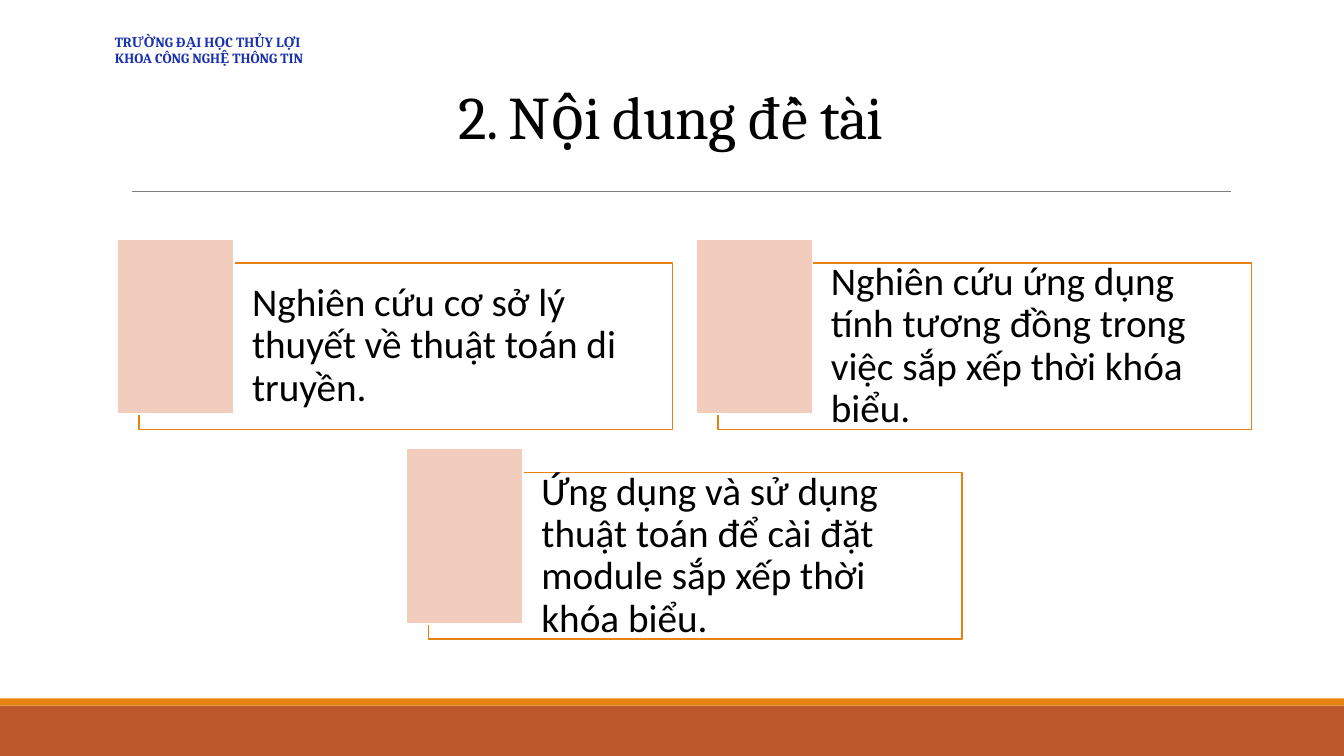
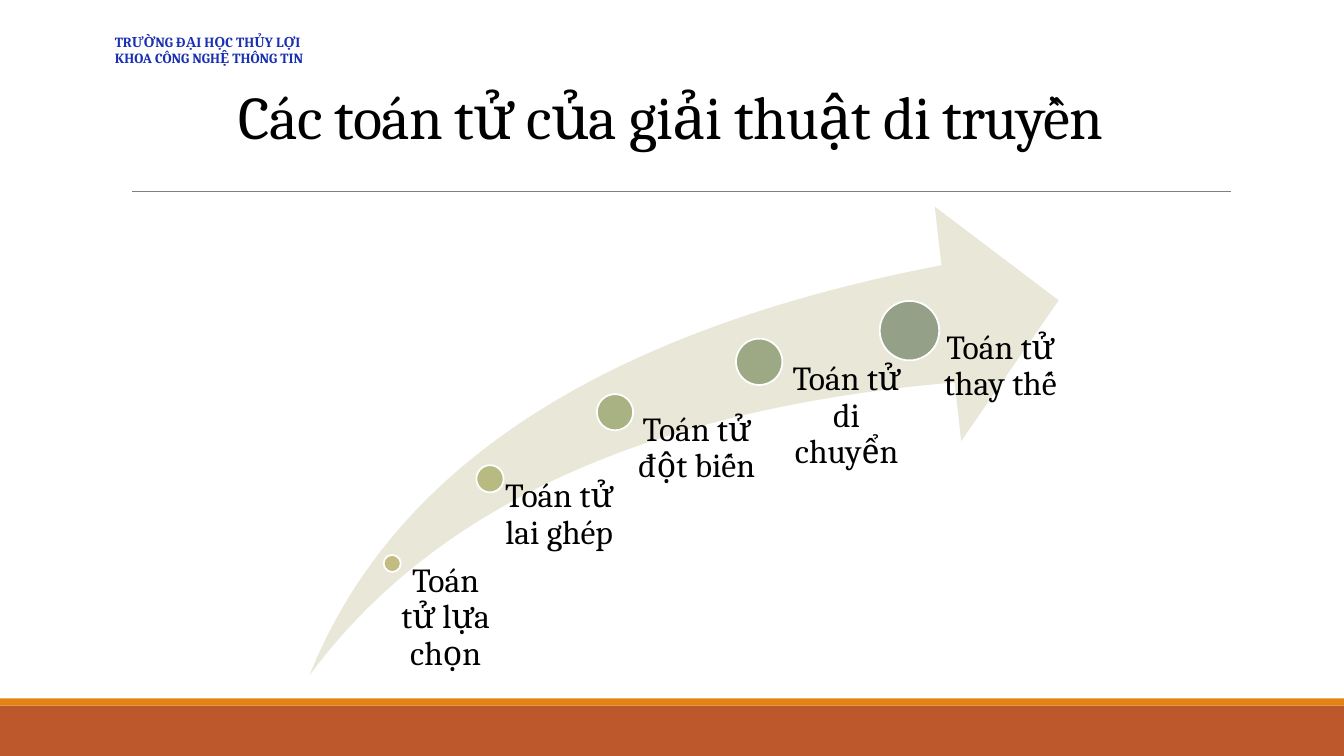
from lxml import etree
from pptx import Presentation
from pptx import util as u
from pptx.dml.color import RGBColor
from pptx.enum import shapes, text
from pptx.oxml.ns import qn

WIDTH, HEIGHT = 13.33, 7.5
TITLE_ONLY = 5
HEADING_FONT, BODY_FONT = "Cambria", "Calibri"
COLORS = {
    "band": "BD582C", "stripe": "E48312", "rule": "808080", "school": "1930B0",
    "text": "000000", "white": "FFFFFF", "accent": "F2CDBD", "arrow": "E9E7D8",
}
SCHOOL = ["TRƯỜNG ĐẠI HỌC THỦY LỢI", "KHOA CÔNG NGHỆ THÔNG TIN"]

# Cards: column and row of each one; half columns centre the last row
CARD_LEFT, CARD_TOP = 1.16, 2.37
CARD_COLUMN, CARD_ROW = 5.74, 2.08
CARDS = [
    (0, 0, "Nghiên cứu cơ sở lý thuyết về thuật toán di truyền."),
    (1, 0, "Nghiên cứu ứng dụng tính tương đồng trong việc sắp xếp thời khóa biểu."),
    (0.5, 1, "Ứng dụng và sử dụng thuật toán để cài đặt module sắp xếp thời khóa biểu."),
]

# Steps: bubble centre, bubble diameter, label width, colour, label
ARROW = (3.07, 2.05, 7.43, 4.65)
STEPS = [
    (3.89, 5.59, 0.17, 0.97, "C2BC80", "Toán tử lựa chọn"),
    (4.86, 4.75, 0.27, 1.23, "B7BA81", "Toán tử lai ghép"),
    (6.10, 4.09, 0.36, 1.43, "A8B283", "Toán tử đột biến"),
    (7.53, 3.59, 0.46, 1.49, "9DA985", "Toán tử di chuyển"),
    (9.02, 3.28, 0.59, 1.49, "94A088", "Toán tử thay thế"),
]


def inches(*lengths):
    return [u.Inches(length) for length in lengths]


def rgb(color):
    return RGBColor.from_string(color)


def add_shape(slide, kind, box, fill, line=None, line_width=1.25):
    shape = slide.shapes.add_shape(kind, *inches(*box))
    shape.shadow.inherit = False
    shape.fill.solid()
    shape.fill.fore_color.rgb = rgb(fill)
    if line:
        shape.line.color.rgb = rgb(line)
        shape.line.width = u.Pt(line_width)
    else:
        shape.line.fill.background()
    return shape


def add_rule(slide, left, right, top):
    rule = slide.shapes.add_connector(
        shapes.MSO_CONNECTOR.STRAIGHT, *inches(left, top, right, top))
    rule.line.color.rgb = rgb(COLORS["rule"])
    rule.line.width = u.Pt(0.5)
    etree.SubElement(rule.element.spPr, qn("a:effectLst"))
    return rule


def write(shape, lines, size, font=HEADING_FONT, color=COLORS["text"], bold=False,
          align=text.PP_ALIGN.LEFT, anchor=text.MSO_ANCHOR.TOP, spacing=1.0,
          insets=(0.1, 0.05, 0.1, 0.05)):
    frame = shape.text_frame
    frame.word_wrap = True
    frame.auto_size = text.MSO_AUTO_SIZE.NONE
    frame.vertical_anchor = anchor
    (frame.margin_left, frame.margin_top,
     frame.margin_right, frame.margin_bottom) = inches(*insets)
    frame.text = "\n".join(lines)
    for paragraph in frame.paragraphs:
        paragraph.alignment = align
        paragraph.line_spacing = spacing
        paragraph.font.name = font
        paragraph.font.size = u.Pt(size)
        paragraph.font.bold = bold
        paragraph.font.color.rgb = rgb(color)


def move_to_layout(layout, parts):
    """Let every slide of the layout show these parts."""
    for number, part in enumerate(parts, 101):
        part.element.xpath(".//p:cNvPr")[0].set("id", str(number))
        layout.shapes.element.append(part.element)


def add_decoration(slide):
    rectangle = shapes.MSO_SHAPE.RECTANGLE
    move_to_layout(slide.slide_layout, [
        add_shape(slide, rectangle, (0, 7, WIDTH, 0.5), COLORS["band"]),
        add_shape(slide, rectangle, (0, 6.93, WIDTH, 0.07), COLORS["stripe"]),
        add_rule(slide, 1.31, 12.21, 1.9),
    ])


def add_slide(presentation, heading):
    slide = presentation.slides.add_slide(presentation.slide_layouts[TITLE_ONLY])
    # Title
    title = slide.shapes.title
    title.left, title.top, title.width, title.height = inches(0.74, 0.8, 11.83, 0.76)
    write(title, [heading], 43.2, align=text.PP_ALIGN.CENTER,
          anchor=text.MSO_ANCHOR.BOTTOM, spacing=0.85)
    for run in title.text_frame.paragraphs[0].runs:
        run.font.element.set("spc", "-50") if hasattr(run.font, "element") else \
            run._r.get_or_add_rPr().set("spc", "-50")
    # School and faculty
    school = slide.shapes.add_textbox(*inches(1.04, 0.28, 2.55, 0.44))
    write(school, SCHOOL, 10, color=COLORS["school"], bold=True)
    return slide


def add_card(slide, column, row, content):
    left = CARD_LEFT + column * CARD_COLUMN
    top = CARD_TOP + row * CARD_ROW
    rectangle = shapes.MSO_SHAPE.RECTANGLE
    card = add_shape(slide, rectangle, (left + 0.22, top + 0.24, 5.29, 1.65),
                     COLORS["white"], COLORS["stripe"], 1)
    write(card, [content], 28, font=BODY_FONT, anchor=text.MSO_ANCHOR.MIDDLE,
          spacing=0.9, insets=(1.12, 0.12, 0.12, 0.12))
    add_shape(slide, rectangle, (left, top, 1.16, 1.74),
              COLORS["accent"], COLORS["white"])


def add_step(slide, x, y, diameter, label_width, color, content):
    add_shape(slide, shapes.MSO_SHAPE.OVAL,
              (x - diameter / 2, y - diameter / 2, diameter, diameter),
              color, COLORS["white"])
    # The label runs from the bubble's centre down to the arrow's foot
    foot = ARROW[1] + ARROW[3]
    label = slide.shapes.add_textbox(*inches(x, y, label_width, foot - y))
    write(label, [content], 24, align=text.PP_ALIGN.CENTER, spacing=0.9,
          insets=(0.53 * diameter, 0, 0, 0))


def main():
    presentation = Presentation()
    presentation.slide_width, presentation.slide_height = inches(WIDTH, HEIGHT)

    # Topic contents
    slide = add_slide(presentation, "2. Nội dung đề tài")
    add_decoration(slide)
    for card in CARDS:
        add_card(slide, *card)

    # Genetic operators
    slide = add_slide(presentation, "Các toán tử của giải thuật di truyền")
    arrow = add_shape(slide, shapes.MSO_SHAPE.SWOOSH_ARROW, ARROW, COLORS["arrow"])
    arrow.adjustments[0] = arrow.adjustments[1] = 0.25
    for step in STEPS:
        add_step(slide, *step)

    presentation.save("out.pptx")


if __name__ == "__main__":
    main()
